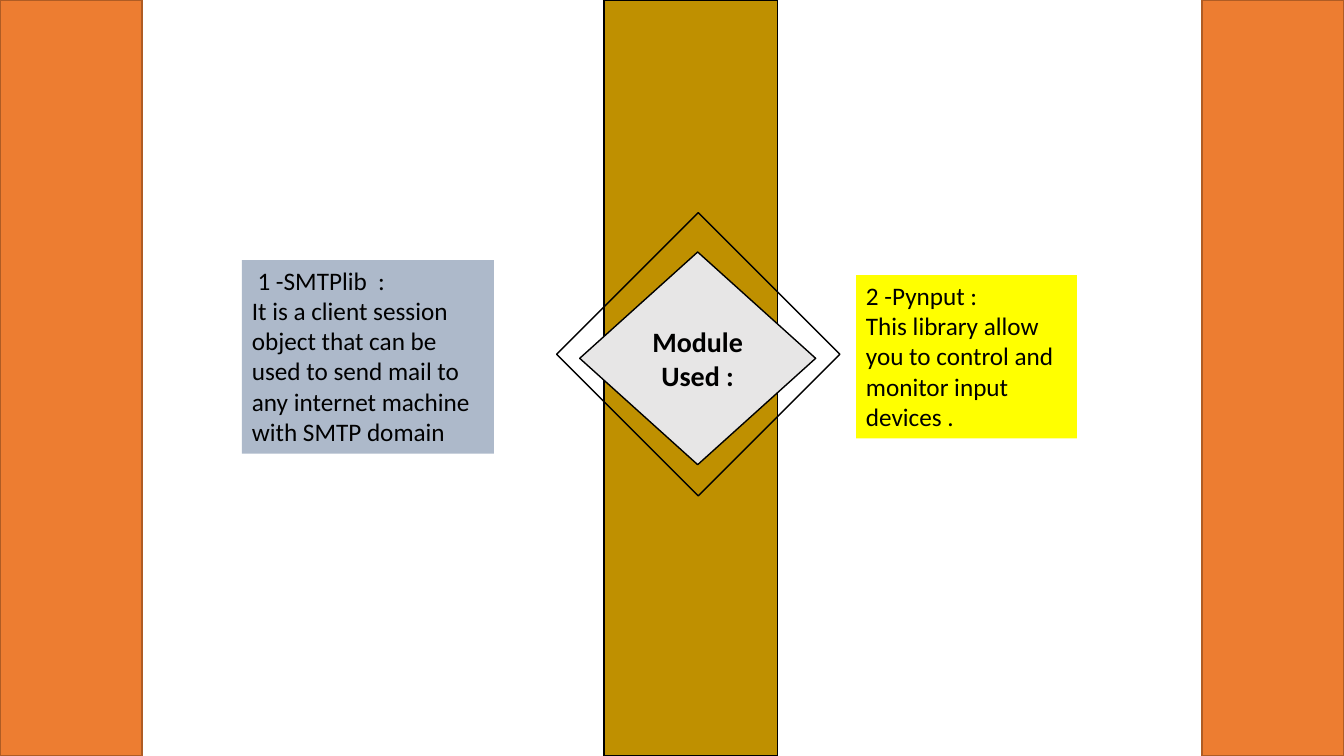
"""Build the slide that names the two modules used."""
import pptx
import pptx.util
import pptx.dml.color
import pptx.enum.shapes
import pptx.enum.text

Inches, Pt = pptx.util.Inches, pptx.util.Pt
RGB = pptx.dml.color.RGBColor.from_string
MSO = pptx.enum.shapes.MSO_SHAPE
ALIGN = pptx.enum.text.PP_ALIGN
ANCHOR = pptx.enum.text.MSO_ANCHOR
COLORS = {"orange": "ED7D31", "rust": "AF5C24", "gold": "BF9000", "black": "000000",
          "grey": "E7E6E6", "blue": "ADB9CA", "yellow": "FFFF00"}

prs = pptx.Presentation()
prs.slide_width, prs.slide_height = Inches(13.33), Inches(7.5)
s = prs.slides.add_slide(prs.slide_layouts[6])


def add_block(kind, box, fill=None, line=None):
    sp = s.shapes.add_shape(kind, *map(Inches, box))
    sp.shadow.inherit = False
    if fill:
        sp.fill.solid()
        sp.fill.fore_color.rgb = RGB(COLORS[fill])
    else:
        sp.fill.background()
    if line:
        sp.line.color.rgb = RGB(COLORS[line])
        sp.line.width = Pt(1)
    else:
        sp.line.fill.background()
    return sp


def write(sp, text, size=18, bold=False, align=ALIGN.LEFT, anchor=ANCHOR.TOP):
    tf = sp.text_frame
    tf.word_wrap = True
    tf.vertical_anchor = anchor
    tf.text = text
    for p in tf.paragraphs:
        p.alignment = align
        for r in p.runs:
            r.font.name = "Calibri"
            r.font.size = Pt(size)
            r.font.bold = bold
            r.font.color.rgb = RGB(COLORS["black"])


for left, width, fill, line in [(0, 1.41, "orange", "rust"),
                                (5.99, 1.72, "gold", "black"),
                                (11.92, 1.41, "orange", "rust")]:
    add_block(MSO.RECTANGLE, (left, 0, width, 7.5), fill, line)

title = add_block(MSO.DIAMOND, (5.75, 2.5, 2.34, 2.11), "grey", "black")
write(title, "Module\vUsed :", size=20, bold=True, align=ALIGN.CENTER, anchor=ANCHOR.MIDDLE)
add_block(MSO.DIAMOND, (5.52, 2.11, 2.81, 2.81), line="black")

modules = [
    ((2.4, 2.58, 2.5, 1.92), "blue", " 1 -SMTPlib  :",
     "It is a client session object that can be used to send mail to "
     "any internet machine with SMTP domain"),
    ((8.49, 2.73, 2.19, 1.62), "yellow", "2 -Pynput :",
     "This library allow you to control and monitor input devices ."),
]
for box, fill, name, description in modules:
    sp = add_block(MSO.RECTANGLE, box, fill)
    write(sp, f"{name}\n{description}")
    sp.text_frame.auto_size = pptx.enum.text.MSO_AUTO_SIZE.SHAPE_TO_FIT_TEXT

prs.save("out.pptx")
